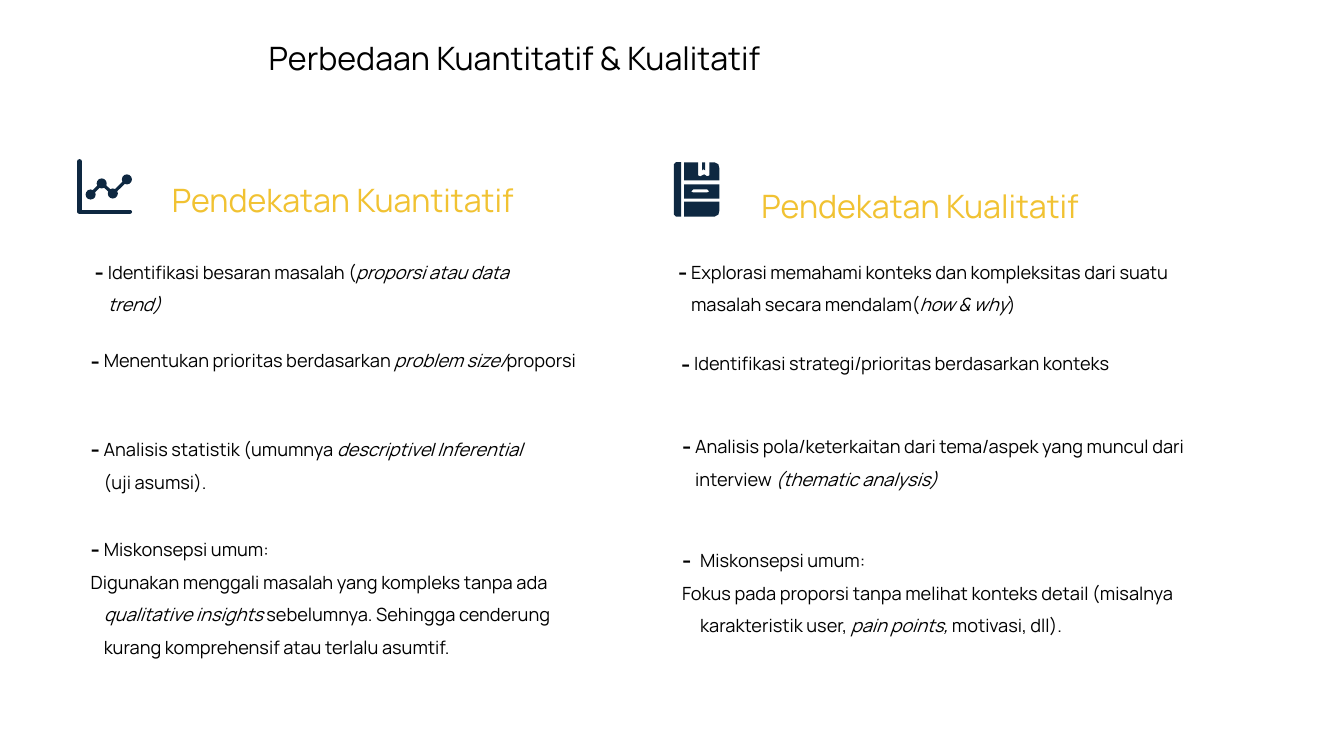
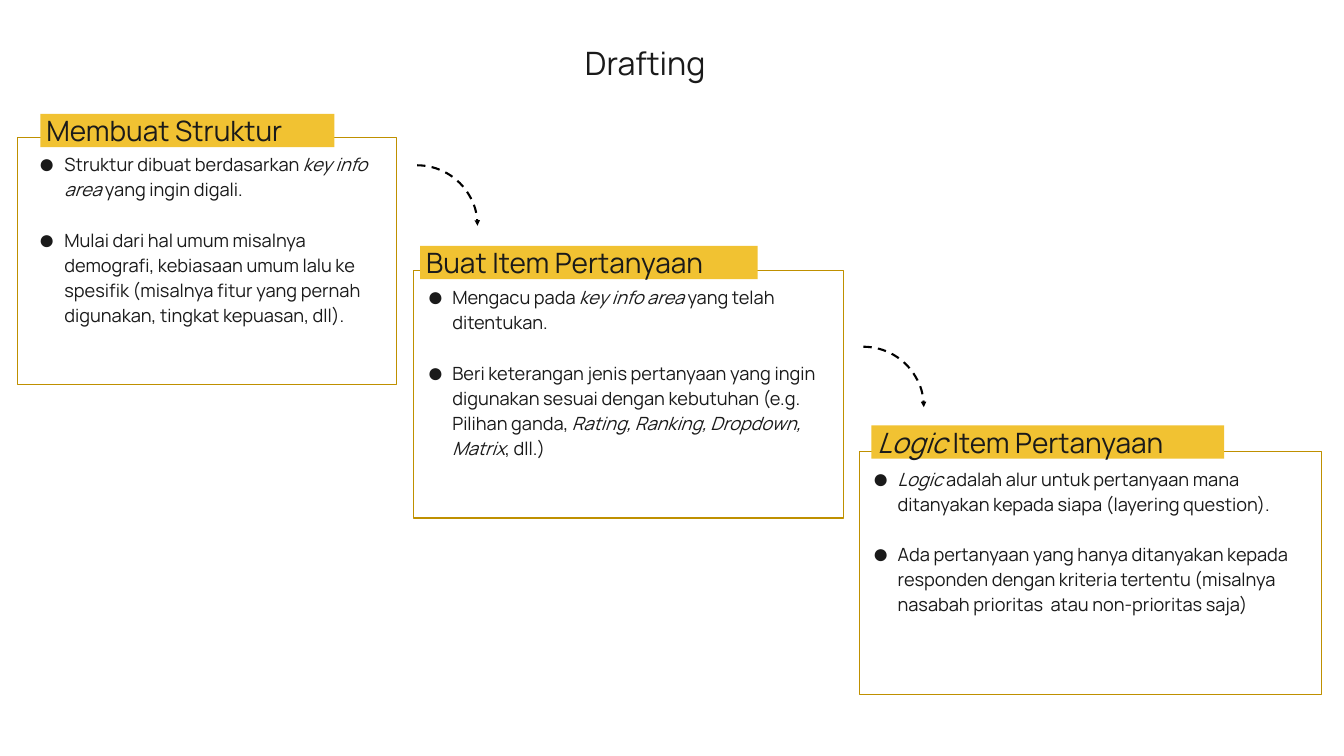
import pptx
from lxml import etree
from pptx.dml.color import RGBColor
from pptx.enum.dml import MSO_LINE
from pptx.enum.shapes import MSO_SHAPE
from pptx.enum.text import MSO_ANCHOR, MSO_AUTO_SIZE, PP_ALIGN
from pptx.oxml.ns import qn
from pptx.util import Inches, Pt

# Shared style
FONT, BULLET_FONT = "Manrope", "Arial"
BLACK = RGBColor(0x00, 0x00, 0x00)
INK = RGBColor(0x1A, 0x1A, 0x1A)
YELLOW = RGBColor(0xF1, 0xC2, 0x32)
GOLD = RGBColor(0xBF, 0x90, 0x00)
NAVY = RGBColor(0x0E, 0x28, 0x41)
TITLE_PT, TAG_PT, BODY_PT = 23, 20, 13
TITLE_H = 0.38

# Content: *...* marks italics
# Column: heading, (left, top), notes as (left, top, width, height, indent, hang, paragraphs)
APPROACHES = [
    ("Pendekatan Kuantitatif", (1.24, 1.53), [
        (0.87, 2.41, 4.48, 0.78, 0.13, 0.13,
         ["Identifikasi besaran masalah (*proporsi atau data trend)*"]),
        (0.83, 3.29, 5.09, 0.46, 0.13, 0.13,
         ["Menentukan prioritas berdasarkan *problem size/*proporsi"]),
        (0.83, 4.17, 4.47, 0.78, 0.13, 0.13,
         ["Analisis statistik (umumnya *descriptive*/*Inferential* (uji asumsi)."]),
        (0.83, 5.16, 4.95, 1.43, 0.13, 0.13,
         ["Miskonsepsi umum:",
          "Digunakan menggali masalah yang kompleks tanpa ada *qualitative insights* "
          "sebelumnya. Sehingga cenderung kurang komprehensif atau terlalu asumtif."]),
    ]),
    ("Pendekatan Kualitatif", (6.97, 1.59), [
        (6.66, 2.41, 5.49, 0.78, 0.13, 0.13,
         ["Explorasi memahami konteks dan kompleksitas dari suatu masalah "
          "secara mendalam(*how & why*)"]),
        (6.69, 3.32, 5.43, 0.46, 0.13, 0.13,
         ["Identifikasi strategi/prioritas berdasarkan konteks"]),
        (6.70, 4.14, 5.43, 0.78, 0.13, 0.13,
         ["Analisis pola/keterkaitan dari tema/aspek yang muncul dari interview"
          "* (thematic analysis)*"]),
        (6.59, 5.27, 5.43, 1.11, 0.29, 0.18,
         ["Miskonsepsi umum:",
          "Fokus pada proporsi tanpa melihat konteks detail (misalnya karakteristik user, "
          "*pain points,* motivasi, dll)."]),
    ]),
]

# Step: tag text, tag box, card box, (indent, hang), points
STEPS = [
    ("Membuat Struktur", (0.40, 1.13, 2.92, 0.33), (0.17, 1.36, 3.77, 2.46), (0.34, 0.26),
     ["Struktur dibuat berdasarkan *key info area* yang ingin digali.",
      "Mulai dari hal umum misalnya demografi, kebiasaan umum lalu ke spesifik "
      "(misalnya fitur yang pernah digunakan, tingkat kepuasan, dll)."]),
    ("Buat Item Pertanyaan", (4.17, 2.44, 3.35, 0.33), (4.10, 2.68, 4.27, 2.46), (0.26, 0.25),
     ["Mengacu pada *key info area* yang telah ditentukan.",
      "Beri keterangan jenis pertanyaan yang ingin digunakan sesuai dengan kebutuhan "
      "(e.g. Pilihan ganda, *Rating, Ranking, Dropdown, Matrix*, dll.)"]),
    ("*Logic* Item Pertanyaan", (8.65, 4.22, 3.50, 0.33), (8.53, 4.48, 4.59, 2.41), (0.25, 0.25),
     ["*Logic* adalah alur untuk pertanyaan mana ditanyakan kepada siapa "
      "(layering question).",
      "Ada pertanyaan yang hanya ditanyakan kepada responden dengan kriteria tertentu "
      "(misalnya nasabah prioritas  atau non-prioritas saja)"]),
]

# Icons
CHART_AXES = [(0.79, 1.60), (0.79, 2.10), (1.29, 2.10)]
CHART_POINTS = [(0.90, 1.93), (1.01, 1.82), (1.12, 1.92), (1.26, 1.78)]
DOT_R = 0.05
BOOK_PARTS = [
    # spine
    [[(6.71, 1.61), (6.76, 1.61), (6.76, 2.15), (6.71, 2.15), (6.69, 2.13), (6.69, 1.63)]],
    # top cover with bookmark notch
    [[(6.79, 1.61), (6.93, 1.61), (6.93, 1.74), (6.95, 1.75), (6.99, 1.73), (7.02, 1.75),
      (7.04, 1.74), (7.04, 1.61), (7.09, 1.61), (7.13, 1.63), (7.14, 1.67), (7.14, 1.79),
      (6.79, 1.79)]],
    # bookmark
    [[(6.97, 1.61), (7.00, 1.61), (7.00, 1.69), (6.98, 1.68), (6.97, 1.69)]],
    # middle band with label slot
    [[(6.79, 1.83), (6.79, 1.97), (7.14, 1.97), (7.14, 1.83)],
     [(6.88, 1.88), (7.02, 1.88), (7.04, 1.90), (7.02, 1.91), (6.88, 1.91), (6.86, 1.90)]],
    # bottom cover
    [[(6.79, 2.00), (7.14, 2.00), (7.14, 2.09), (7.13, 2.13), (7.09, 2.15), (6.79, 2.15)]],
]


def write(p, text, size, color):
    for i, part in enumerate(text.split("*")):
        if part:
            r = p.add_run()
            r.text = part
            r.font.name, r.font.size, r.font.color.rgb = FONT, Pt(size), color
            r.font.italic = i % 2 == 1


def set_frame(tf, inset, anchor=MSO_ANCHOR.TOP):
    tf.word_wrap = True
    tf.auto_size = MSO_AUTO_SIZE.NONE
    tf.vertical_anchor = anchor
    tf.margin_left = tf.margin_right = tf.margin_top = tf.margin_bottom = Inches(inset)


def add_paragraphs(tf, texts, color, spacing, indent, hang, bullet, bulleted, gap=0):
    """Hanging paragraphs; the first `bulleted` ones carry the bullet."""
    for i, text in enumerate(texts):
        p = tf.add_paragraph() if i else tf.paragraphs[0]
        p.alignment = PP_ALIGN.LEFT
        p.line_spacing = spacing
        p.space_before = Pt(gap if i else 0)
        pPr = p._p.get_or_add_pPr()
        pPr.set("marL", str(Inches(indent)))
        pPr.set("indent", str(-Inches(hang)))
        if i < bulleted:
            clr = etree.SubElement(pPr, qn("a:buClr"))
            etree.SubElement(clr, qn("a:srgbClr"), val=str(color))
            etree.SubElement(pPr, qn("a:buSzPct"), val="153000")
            etree.SubElement(pPr, qn("a:buFont"), typeface=BULLET_FONT)
            etree.SubElement(pPr, qn("a:buChar"), char=bullet)
        write(p, text, BODY_PT, color)


def add_title(s, text, left, top, width, color):
    sp = s.shapes.title
    sp.left, sp.top, sp.width, sp.height = map(Inches, (left, top, width, TITLE_H))
    set_frame(sp.text_frame, 0)
    p = sp.text_frame.paragraphs[0]
    p.alignment, p.line_spacing = PP_ALIGN.CENTER, 1.0
    write(p, text, TITLE_PT, color)


def add_shape(s, kind, box, fill=None, line=None, width=0.75):
    sp = s.shapes.add_shape(kind, *map(Inches, box))
    paint(sp, fill, line, width)
    return sp


def paint(sp, fill=None, line=None, width=0.75):
    sp.shadow.inherit = False
    if fill is None:
        sp.fill.background()
    else:
        sp.fill.solid()
        sp.fill.fore_color.rgb = fill
    if line is None:
        sp.line.fill.background()
    else:
        sp.line.color.rgb, sp.line.width = line, Pt(width)


def add_outline(s, contours, closed=True):
    fb = None
    for contour in contours:
        start, *rest = [(Inches(x), Inches(y)) for x, y in contour]
        if fb is None:
            fb = s.shapes.build_freeform(*start)
        else:
            fb.move_to(*start)
        fb.add_line_segments(rest, close=closed)
    return fb.convert_to_shape()


def draw_chart_icon(s):
    for points, width in ((CHART_AXES, 3), (CHART_POINTS, 2.25)):
        sp = add_outline(s, [points], closed=False)
        paint(sp, line=NAVY, width=width)
        sp.line._get_or_add_ln().set("cap", "rnd")
    for x, y in CHART_POINTS:
        add_shape(s, MSO_SHAPE.OVAL, (x - DOT_R, y - DOT_R, 2 * DOT_R, 2 * DOT_R), NAVY)


def draw_book_icon(s):
    for contours in BOOK_PARTS:
        paint(add_outline(s, contours), NAVY)


def build_comparison(s):
    add_title(s, "Perbedaan Kuantitatif & Kualitatif", 1.08, 0.38, 8.06, BLACK)
    for heading, (left, top), notes in APPROACHES:
        tf = s.shapes.add_textbox(*map(Inches, (left, top, 4.33, 0.71))).text_frame
        set_frame(tf, 0.07)
        p = tf.paragraphs[0]
        p.alignment, p.line_spacing = PP_ALIGN.CENTER, 1.5
        write(p, heading, TITLE_PT, YELLOW)
        for *box, indent, hang, texts in notes:
            tf = s.shapes.add_textbox(*map(Inches, box)).text_frame
            set_frame(tf, 0.07)
            add_paragraphs(tf, texts, BLACK, 1.5, indent, hang, "-", 1)
    draw_chart_icon(s)
    draw_book_icon(s)


def build_drafting(s):
    add_title(s, "Drafting", 2.12, 0.43, 8.57, INK)
    for i, (tag, tag_box, card_box, (indent, hang), points) in enumerate(STEPS):
        card = add_shape(s, MSO_SHAPE.RECTANGLE, card_box, line=GOLD)
        set_frame(card.text_frame, 0.13)
        add_paragraphs(card.text_frame, points, INK, 1.15, indent, hang, "●",
                       len(points), gap=18)

        label = add_shape(s, MSO_SHAPE.RECTANGLE, tag_box, YELLOW)
        set_frame(label.text_frame, 0)
        label.text_frame.margin_left = Inches(0.06)
        p = label.text_frame.paragraphs[0]
        p.alignment = PP_ALIGN.LEFT
        write(p, tag, TAG_PT, INK)

        # Dashed arc leading down to every card after the first
        if i:
            left, top = card_box[:2]
            arc = add_shape(s, MSO_SHAPE.ARC, (left - 0.56, top - 1.04, 1.2, 1.2),
                            line=BLACK, width=1.5)
            arc.line.dash_style = MSO_LINE.DASH
            etree.SubElement(arc.line._get_or_add_ln(), qn("a:tailEnd"),
                             type="triangle", w="sm", len="sm")


def main():
    prs = pptx.Presentation()
    prs.slide_width, prs.slide_height = Inches(13.34), Inches(7.5)
    title_only = prs.slide_layouts[5]
    for build in (build_comparison, build_drafting):
        build(prs.slides.add_slide(title_only))
    prs.save("out.pptx")


if __name__ == "__main__":
    main()
